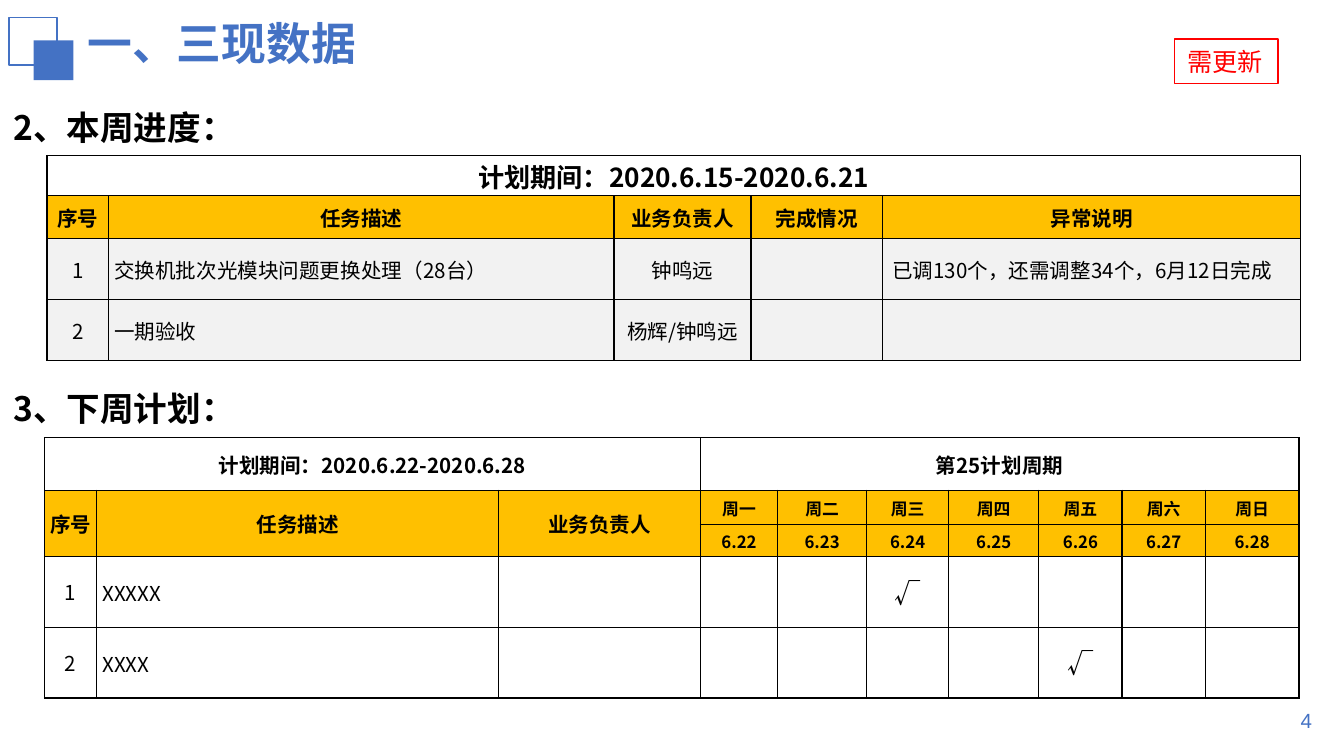
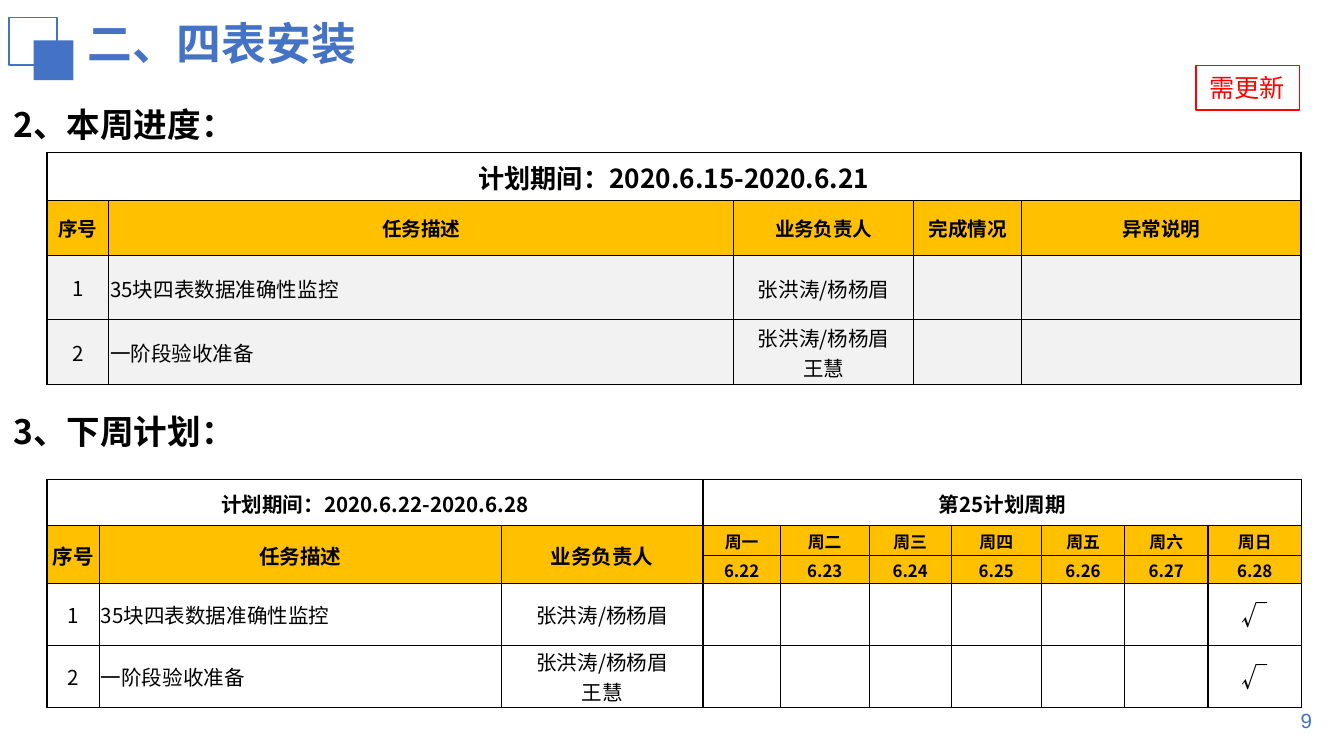
from lxml import etree
from pptx import Presentation
from pptx.dml.color import RGBColor
from pptx.enum.shapes import MSO_SHAPE
from pptx.enum.text import MSO_ANCHOR, MSO_AUTO_SIZE, PP_ALIGN
from pptx.oxml.ns import qn
from pptx.util import Pt

LEFT, CENTER, RIGHT = PP_ALIGN.LEFT, PP_ALIGN.CENTER, PP_ALIGN.RIGHT
MIDDLE = MSO_ANCHOR.MIDDLE
NO_AUTO_SIZE = MSO_AUTO_SIZE.NONE
RECTANGLE = MSO_SHAPE.RECTANGLE

BLUE = RGBColor(0x44, 0x72, 0xC4)
BLACK = RGBColor(0, 0, 0)
WHITE = RGBColor(0xFF, 0xFF, 0xFF)
RED = RGBColor(0xFF, 0, 0)
AMBER = RGBColor(0xFF, 0xC0, 0)
LIGHT_GREY = RGBColor(0xF2, 0xF2, 0xF2)

CJK_FONT = "Noto Sans CJK SC"
LATIN_FONT = "Arial"
TITLE_ONLY_LAYOUT = 5

# Cell margins: left, top, right, bottom
TIGHT = (0.7, 0.7, 0.7, 0)
INDENTED = (2.9, 0.7, 0.7, 0)
ROOMY = (5, 2.9, 5, 2.9)
NOTE = (5, 0, 5, 0)

PROGRESS_HEADERS = ("序号", "任务描述", "业务负责人", "完成情况", "异常说明")
PLAN_HEADERS = PROGRESS_HEADERS[:3]
WEEKDAYS = "一二三四五六日"
FIRST_DATE = 22
PLAN_COLUMNS = (28.1, 215.3, 108, 41.4, 47.7, 43.9, 48.4, 44.6, 44.6, 50.2)


def write(text_frame, text, size, color=BLACK, bold=False, font=CJK_FONT,
          align=LEFT, line_spacing=None):
    """Write one paragraph for each line of text."""
    for index, line in enumerate(text.split("\n")):
        paragraph = text_frame.add_paragraph() if index else text_frame.paragraphs[0]
        paragraph.alignment = align
        paragraph.line_spacing = line_spacing
        run = paragraph.add_run()
        run.text = line
        run.font.size = Pt(size)
        run.font.bold = bold
        run.font.color.rgb = color
        run.font.name = font
        etree.SubElement(run.font._element, qn("a:ea"), typeface=CJK_FONT)


def add_text(slide, left, top, width, height, text, size, **style):
    box = slide.shapes.add_textbox(Pt(left), Pt(top), Pt(width), Pt(height))
    box.text_frame.word_wrap = True
    box.text_frame.vertical_anchor = MIDDLE
    write(box.text_frame, text, size, **style)


def add_rectangle(slide, left, top, width, height, fill=None, line=None, weight=1):
    shape = slide.shapes.add_shape(RECTANGLE, Pt(left), Pt(top), Pt(width), Pt(height))
    shape.shadow.inherit = False
    if fill is None:
        shape.fill.background()
    else:
        shape.fill.solid()
        shape.fill.fore_color.rgb = fill
    if line is None:
        shape.line.fill.background()
    else:
        shape.line.color.rgb = line
        shape.line.width = Pt(weight)
    return shape


def add_badge(slide, left, top):
    badge = add_rectangle(slide, left, top, 55.4, 23.8, line=RED, weight=0.75)
    badge.text_frame.word_wrap = False
    badge.text_frame.vertical_anchor = MIDDLE
    write(badge.text_frame, "需更新", 13.5, color=RED, font=LATIN_FONT)


def add_heading(slide, top, text):
    add_text(slide, 0, top, 629.3, 40.3, text, 18, bold=True, line_spacing=1.5)


def add_page(presentation, title_text, number):
    slide = presentation.slides.add_slide(presentation.slide_layouts[TITLE_ONLY_LAYOUT])
    title = slide.shapes.title
    title.left, title.top, title.width, title.height = Pt(39.6), Pt(5), Pt(326.2), Pt(36)
    title.text_frame.auto_size = NO_AUTO_SIZE
    title.text_frame.vertical_anchor = MIDDLE
    write(title.text_frame, title_text, 24, color=BLUE, bold=True)
    add_text(slide, 542.2, 375.1, 167.8, 21.6, str(number), 11, color=BLUE,
             font=LATIN_FONT, align=RIGHT)
    add_rectangle(slide, 5, 9.4, 25.6, 25.6, line=BLUE)
    add_rectangle(slide, 18, 21.6, 21.4, 21.4, fill=BLUE)
    return slide


def add_borders(cell):
    properties = cell._tc.get_or_add_tcPr()
    for index, side in enumerate(("lnL", "lnR", "lnT", "lnB")):
        border = etree.Element(qn(f"a:{side}"), w=str(Pt(0.75)))
        fill = etree.SubElement(border, qn("a:solidFill"))
        etree.SubElement(fill, qn("a:srgbClr"), val=str(BLACK))
        properties.insert(index, border)


def format_cell(cell, fill=None, margins=TIGHT):
    cell.margin_left, cell.margin_top, cell.margin_right, cell.margin_bottom = map(Pt, margins)
    cell.vertical_anchor = MIDDLE
    if fill is None:
        cell.fill.background()
    else:
        cell.fill.solid()
        cell.fill.fore_color.rgb = fill


def fill_cell(cell, text, size=11, fill=None, margins=TIGHT, align=CENTER, bold=False):
    format_cell(cell, fill, margins)
    if text:
        write(cell.text_frame, text, size, bold=bold, align=align)


def header_cell(cell, text, size=11, fill=AMBER):
    fill_cell(cell, text, size, fill, bold=True)


def add_grid(slide, left, top, columns, rows):
    """Add an unstyled table with thin black borders."""
    frame = slide.shapes.add_table(len(rows), len(columns), Pt(left), Pt(top),
                                   Pt(sum(columns)), Pt(sum(rows)))
    table = frame.table
    table.first_row = table.horz_banding = False
    for column, width in zip(table.columns, columns):
        column.width = Pt(width)
    for row, height in zip(table.rows, rows):
        row.height = Pt(height)
    for cell in table.iter_cells():
        format_cell(cell)
        add_borders(cell)
        paragraph = cell.text_frame.paragraphs[0]
        etree.SubElement(paragraph._p, qn("a:endParaRPr"), sz="900")
    return table


def add_task(table, row, number, task, owner, task_margins, fill=None):
    fill_cell(table.cell(row, 0), str(number), fill=fill, margins=ROOMY)
    fill_cell(table.cell(row, 1), task, fill=fill, margins=task_margins, align=LEFT)
    fill_cell(table.cell(row, 2), owner, fill=fill)


def add_progress_table(slide, top, columns, rows, tasks, header_size, task_margins):
    """Tasks are (description, owner, note)."""
    table = add_grid(slide, 25.2, top, columns, rows)
    table.cell(0, 0).merge(table.cell(0, 4))
    header_cell(table.cell(0, 0), "计划期间：2020.6.15-2020.6.21", 14, WHITE)
    for column, header in enumerate(PROGRESS_HEADERS):
        header_cell(table.cell(1, column), header, header_size)
    for number, (task, owner, note) in enumerate(tasks, 1):
        row = number + 1
        add_task(table, row, number, task, owner, task_margins, LIGHT_GREY)
        fill_cell(table.cell(row, 3), "", fill=LIGHT_GREY)
        fill_cell(table.cell(row, 4), note, fill=LIGHT_GREY, margins=NOTE, align=LEFT)


def add_plan_table(slide, left, top, rows, tasks, task_margins):
    """Tasks are (description, owner, weekday ticked)."""
    table = add_grid(slide, left, top, PLAN_COLUMNS, rows)
    day_column = len(PLAN_HEADERS)
    table.cell(0, 0).merge(table.cell(0, day_column - 1))
    table.cell(0, day_column).merge(table.cell(0, len(PLAN_COLUMNS) - 1))
    header_cell(table.cell(0, 0), "计划期间：2020.6.22-2020.6.28", fill=WHITE)
    header_cell(table.cell(0, day_column), "第25计划周期", fill=WHITE)
    for column, header in enumerate(PLAN_HEADERS):
        table.cell(1, column).merge(table.cell(2, column))
        header_cell(table.cell(1, column), header)
    for day, weekday in enumerate(WEEKDAYS):
        header_cell(table.cell(1, day_column + day), f"周{weekday}", 9)
        header_cell(table.cell(2, day_column + day), f"6.{FIRST_DATE + day}", 9)
    for number, (task, owner, weekday) in enumerate(tasks, 1):
        row = number + 2
        add_task(table, row, number, task, owner, task_margins)
        tick_column = day_column + WEEKDAYS.index(weekday)
        fill_cell(table.cell(row, tick_column), "√", 14, margins=ROOMY)


def add_data_slide(presentation):
    slide = add_page(presentation, "一、三现数据", 4)
    add_heading(slide, 42.5, "2、本周进度：")
    add_progress_table(
        slide, 83.3, (33.1, 270.7, 73.4, 70.6, 223.9), (21.6, 23, 32.6, 32.6),
        [("交换机批次光模块问题更换处理（28台）", "钟鸣远",
          "已调130个，还需调整34个，6月12日完成"),
         ("一期验收", "杨辉/钟鸣远", "")],
        header_size=11, task_margins=INDENTED)
    add_heading(slide, 193, "3、下周计划：")
    add_plan_table(slide, 23.8, 234.5, (28.2, 18.4, 16.9, 38, 38),
                   [("XXXXX", "", "三"), ("XXXX", "", "五")], INDENTED)
    add_badge(slide, 629.3, 21)


def add_installation_slide(presentation):
    slide = add_page(presentation, "二、四表安装", 9)
    monitoring = ("35块四表数据准确性监控", "张洪涛/杨杨眉")
    acceptance = ("一阶段验收准备", "张洪涛/杨杨眉\n王慧")
    add_heading(slide, 41, "2、本周进度：")
    add_progress_table(
        slide, 81.8, (33.1, 334.8, 96.5, 57.6, 149.8), (25.4, 29.5, 34.6, 34.6),
        [(*monitoring, ""), (*acceptance, "")],
        header_size=10.5, task_margins=TIGHT)
    add_heading(slide, 205.5, "3、下周计划：")
    add_plan_table(slide, 25.2, 257, (24.7, 16.1, 14.7, 33.2, 33.2),
                   [(*monitoring, "日"), (*acceptance, "日")], TIGHT)
    add_badge(slide, 640.8, 35.2)


def main():
    presentation = Presentation()
    presentation.slide_width, presentation.slide_height = Pt(720), Pt(405)
    add_data_slide(presentation)
    add_installation_slide(presentation)
    presentation.save("out.pptx")


if __name__ == "__main__":
    main()
